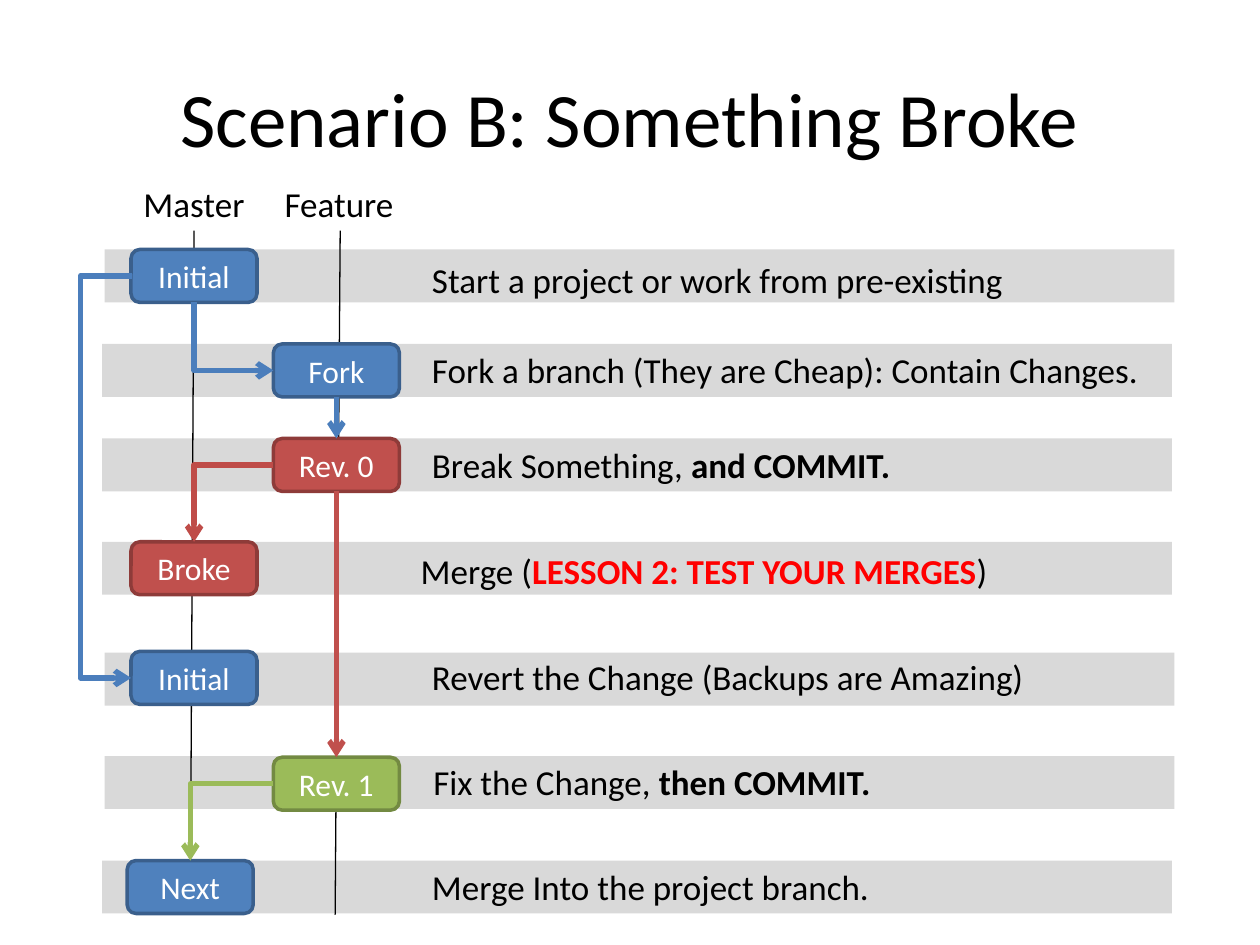
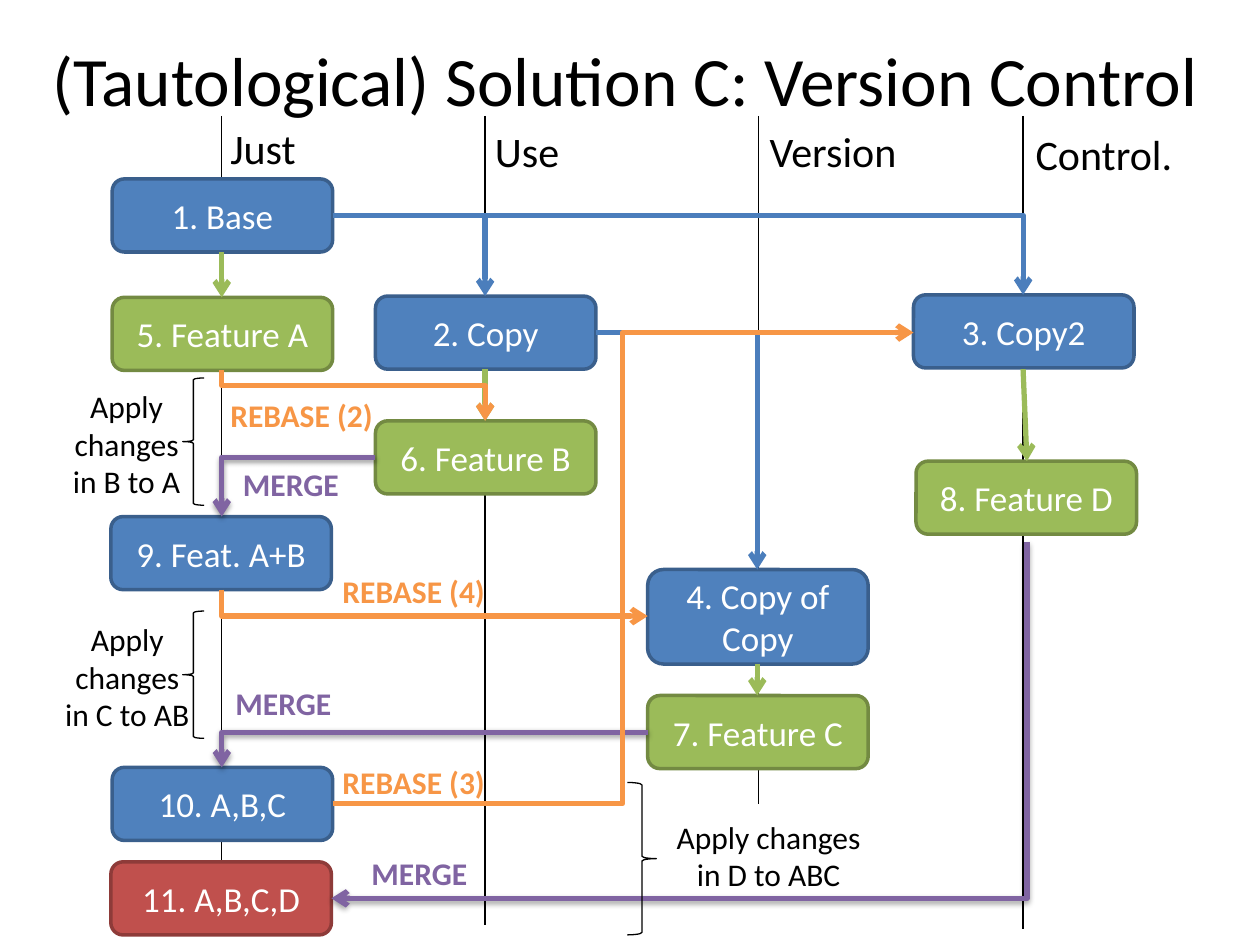
from lxml.etree import SubElement
from pptx import Presentation
from pptx.dml.color import RGBColor
from pptx.enum.shapes import MSO_CONNECTOR as CONNECTOR, MSO_SHAPE as SHAPE
from pptx.enum.text import MSO_ANCHOR as ANCHOR, PP_ALIGN as ALIGN
from pptx.oxml.ns import qn
from pptx.util import Emu, Pt

PX = 9144  # 100 px to the inch
FONT = "Calibri"
COLORS = {
    "black": "000000", "white": "FFFFFF", "band": "D9D9D9", "alert": "FF0000",
    "blue": "4F81BD", "blue edge": "3A5F8C", "blue arrow": "4B7EBC",
    "red": "C0504D", "red edge": "8E3B39", "red arrow": "BF4C48",
    "green": "9BBB59", "green edge": "738A42",
    "orange": "F79646", "purple": "8064A2",
}
RGB = {name: RGBColor.from_string(value) for name, value in COLORS.items()}
PRESETS = {2: "line", 3: "bentConnector2", 4: "bentConnector3"}


def write(shape, runs, size, align=ALIGN.LEFT, anchor=ANCHOR.TOP, wrap=True):
    """Fill a shape with runs given as (text, colour, bold)."""
    frame = shape.text_frame
    frame.word_wrap = wrap
    frame.vertical_anchor = anchor
    paragraph = frame.paragraphs[0]
    paragraph.alignment = align
    for text, color, bold in runs:
        run = paragraph.add_run()
        run.text = text
        run.font.name = FONT
        run.font.size = Pt(size)
        run.font.bold = bold
        run.font.color.rgb = RGB[color]


def draw_route(shapes, points, color, width=3, head=True, shadow=False):
    """Draw one connector, straight or bent, through two to four points."""
    (x0, y0), (x1, y1) = points[0], points[-1]
    dx, dy = x1 - x0, y1 - y0
    vertical = points[1][0] == x0
    # A bent connector leaves sideways, so it is turned to leave another way
    turn = 0
    if len(points) > 2:
        turn = (270 if dx > 0 else 90) if vertical else (0 if dx > 0 else 180)
    across, down = {0: (dx, dy), 90: (dy, -dx), 180: (-dx, -dy), 270: (-dy, dx)}[turn]
    ends = (x0 + x1 - across, y0 + y1 - down, x0 + x1 + across, y0 + y1 + down)
    route = shapes.add_connector(
        CONNECTOR.STRAIGHT, *[Emu(v * PX // 2) for v in ends])
    properties = route._element.spPr
    if turn:
        properties.find(qn("a:xfrm")).set("rot", str(turn * 60000))
    geometry = properties.find(qn("a:prstGeom"))
    geometry.set("prst", PRESETS[len(points)])
    if len(points) == 4:
        bend = (points[1][1] - y0) / dy if vertical else (points[1][0] - x0) / dx
        SubElement(geometry.find(qn("a:avLst")), qn("a:gd"), name="adj1",
                   fmla=f"val {round(bend * 100000)}")

    route.line.color.rgb = RGB[color]
    route.line.width = Pt(width)
    if head:
        SubElement(route.line._get_or_add_ln(), qn("a:tailEnd"), type="arrow")
    effects = SubElement(properties, qn("a:effectLst"))
    if shadow:
        cast = SubElement(effects, qn("a:outerShdw"), blurRad="39400",
                          dist="20300", dir="5400000", rotWithShape="0")
        shade = SubElement(cast, qn("a:srgbClr"), val=COLORS["black"])
        SubElement(shade, qn("a:alpha"), val="38000")


# Scenario B: grey rows as (left, top, text left, text top, runs)
scenario = {
    "title": ("Scenario B: Something Broke", 44, (50, 30, 900, 125)),
    "rows": [
        (83, 198, 333, 200, [("Start a project or work from pre-existing", "black", False)]),
        (81, 273, 333, 272, [("Fork a branch (They are Cheap): Contain Changes.", "black", False)]),
        (81, 348, 333, 347, [("Break Something,", "black", False),
                             (" and COMMIT.", "black", True)]),
        (81, 430, 324, 431, [("Merge (", "black", False),
                             ("LESSON 2: TEST YOUR MERGES", "alert", True),
                             (")", "black", False)]),
        (83, 518, 333, 515, [("Revert the Change (Backups are Amazing)", "black", False)]),
        (83, 600, 334, 599, [("Fix the Change, ", "black", False),
                             ("then COMMIT.", "black", True)]),
        (81, 683, 333, 682, [("Merge Into the project branch.", "black", False)]),
    ],
    "lanes": [[(154, 183), (151, 726)], [(270, 183), (266, 726)]],
    "box": (100, 42, 18),
    "boxes": [
        ("Initial", "blue", 104, 198), ("Fork", "blue", 217, 273),
        ("Rev. 0", "red", 217, 348), ("Rev. 1", "green", 217, 601),
        ("Next", "blue", 101, 683), ("Broke", "red", 104, 430),
        ("Initial", "blue", 104, 517),
    ],
    "routes": [
        ("blue arrow", [(154, 240), (154, 294), (217, 294)]),
        ("blue arrow", [(267, 315), (267, 348)]),
        ("red arrow", [(217, 369), (154, 369), (154, 430)]),
        ("red", [(267, 390), (267, 601)]),
        ("green", [(217, 622), (151, 622), (151, 683)]),
        ("blue arrow", [(105, 219), (63, 219), (63, 538), (104, 538)]),
    ],
    "labels": [
        ("Master", "black", 20, 104, 140, 101, 44),
        ("Feature", "black", 20, 216, 140, 108, 44),
    ],
    "notes": [],
}

# Solution C: four lanes, with rebases in orange and merges in purple
solution = {
    "title": ("(Tautological) Solution C: Version Control", 39.6, (17, 0, 958, 125)),
    "rows": [],
    "lanes": [[(x, 92), (x, bottom)]
              for x, bottom in ((176, 734), (385, 734), (602, 638), (812, 737))],
    "box": (175, 58, 20),
    "boxes": [
        ("1. Base", "blue", 89, 142), ("2. Copy", "blue", 298, 235),
        ("4. Copy of Copy", "blue", 514, 452, 75), ("3. Copy2", "blue", 725, 234),
        ("5. Feature A", "green", 89, 236), ("6. Feature B", "green", 298, 334),
        ("7. Feature C", "green", 514, 552), ("8. Feature D", "green", 727, 366),
        ("9. Feat. A+B", "blue", 88, 410), ("10. A,B,C", "blue", 89, 609),
        ("11. A,B,C,D", "red", 88, 684),
    ],
    "routes": [
        ("green", [(176, 200), (176, 236)]),
        ("blue arrow", [(264, 171), (385, 171), (385, 235)]),
        ("blue arrow", [(473, 264), (601, 264), (601, 452)]),
        ("blue arrow", [(264, 171), (812, 171), (812, 234)]),
        ("green", [(385, 293), (385, 334)]),
        ("green", [(812, 293), (815, 366)]),
        ("green", [(601, 527), (601, 552)]),
        ("orange", [(176, 294), (176, 306), (385, 306), (385, 334)]),
        ("purple", [(298, 363), (176, 363), (176, 410)]),
        ("orange", [(176, 468), (176, 489), (514, 489)]),
        ("purple", [(514, 581), (176, 581), (176, 609)]),
        ("orange", [(264, 638), (494, 638), (494, 264), (725, 264)]),
        ("purple", [(815, 430), (815, 713), (263, 713)]),
    ],
    "labels": [
        ("Just", "black", 24, 173, 92, 73, 50),
        ("Use", "black", 24, 383, 95, 72, 50),
        ("Version", "black", 24, 601, 95, 122, 50),
        ("Control.", "black", 24, 812, 97, 129, 50),
        ("REBASE (2)", "orange", 18, 173, 309, 134, 40),
        ("MERGE", "purple", 18, 183, 364, 97, 40),
        ("REBASE (4)", "orange", 18, 262, 449, 134, 40),
        ("MERGE", "purple", 18, 177, 538, 97, 40),
        ("REBASE (3)", "orange", 18, 262, 601, 134, 40),
        ("MERGE", "purple", 18, 285, 673, 97, 40),
    ],
    # text, its place, brace, its place
    "notes": [
        ("Apply changes in B to A", (47, 302, 107, 101), SHAPE.LEFT_BRACE, (145, 300, 17, 101)),
        ("Apply changes in C to AB", (39, 487, 124, 101), SHAPE.LEFT_BRACE, (145, 485, 17, 101)),
        ("Apply changes in D to ABC", (516, 644, 188, 71), SHAPE.RIGHT_BRACE, (498, 621, 23, 121)),
    ],
}

prs = Presentation()
prs.slide_width, prs.slide_height = Emu(1000 * PX), Emu(750 * PX)

for content in (scenario, solution):
    slide = prs.slides.add_slide(prs.slide_layouts[6])

    # Title
    heading, heading_size, place = content["title"]
    title = slide.shapes.add_textbox(*[Emu(v * PX) for v in place])
    write(title, [(heading, "black", False)], heading_size, ALIGN.CENTER, ANCHOR.MIDDLE)

    # The diagram is one group
    diagram = slide.shapes.add_group_shape().shapes

    # Grey bands
    for left, top, *_ in content["rows"]:
        band = diagram.add_shape(
            SHAPE.RECTANGLE, *[Emu(v * PX) for v in (left, top, 849, 42)])
        band.shadow.inherit = False
        band.fill.solid()
        band.fill.fore_color.rgb = RGB["band"]
        band.line.fill.background()

    # Branch lanes
    for lane in content["lanes"]:
        draw_route(diagram, lane, "black", width=0.75, head=False)

    # Revisions
    box_width, box_height, box_size = content["box"]
    for name, color, left, top, *taller in content["boxes"]:
        height = taller[0] if taller else box_height
        revision = diagram.add_shape(
            SHAPE.ROUNDED_RECTANGLE, *[Emu(v * PX) for v in (left, top, box_width, height)])
        revision.shadow.inherit = False
        revision.fill.solid()
        revision.fill.fore_color.rgb = RGB[color]
        revision.line.color.rgb = RGB[color + " edge"]
        revision.line.width = Pt(2)
        write(revision, [(name, "white", False)], box_size, ALIGN.CENTER, ANCHOR.MIDDLE)

    # Arrows between revisions
    for color, points in content["routes"]:
        draw_route(diagram, points, color, shadow=color == "purple")

    # Row descriptions
    for _, _, left, top, runs in content["rows"]:
        description = diagram.add_textbox(*[Emu(v * PX) for v in (left, top, 598, 44)])
        write(description, runs, 20)

    # Lane and arrow labels
    for text, color, size, *place in content["labels"]:
        label = diagram.add_textbox(*[Emu(v * PX) for v in place])
        write(label, [(text, color, color != "black")], size, wrap=False)

    # Notes with braces
    for text, note_place, brace_kind, brace_place in content["notes"]:
        brace = diagram.add_shape(brace_kind, *[Emu(v * PX) for v in brace_place])
        brace.shadow.inherit = False
        brace.fill.background()
        brace.line.color.rgb = RGB["black"]
        brace.line.width = Pt(0.75)
        note = diagram.add_textbox(*[Emu(v * PX) for v in note_place])
        write(note, [(text, "black", False)], 18, ALIGN.CENTER)

prs.save("out.pptx")
